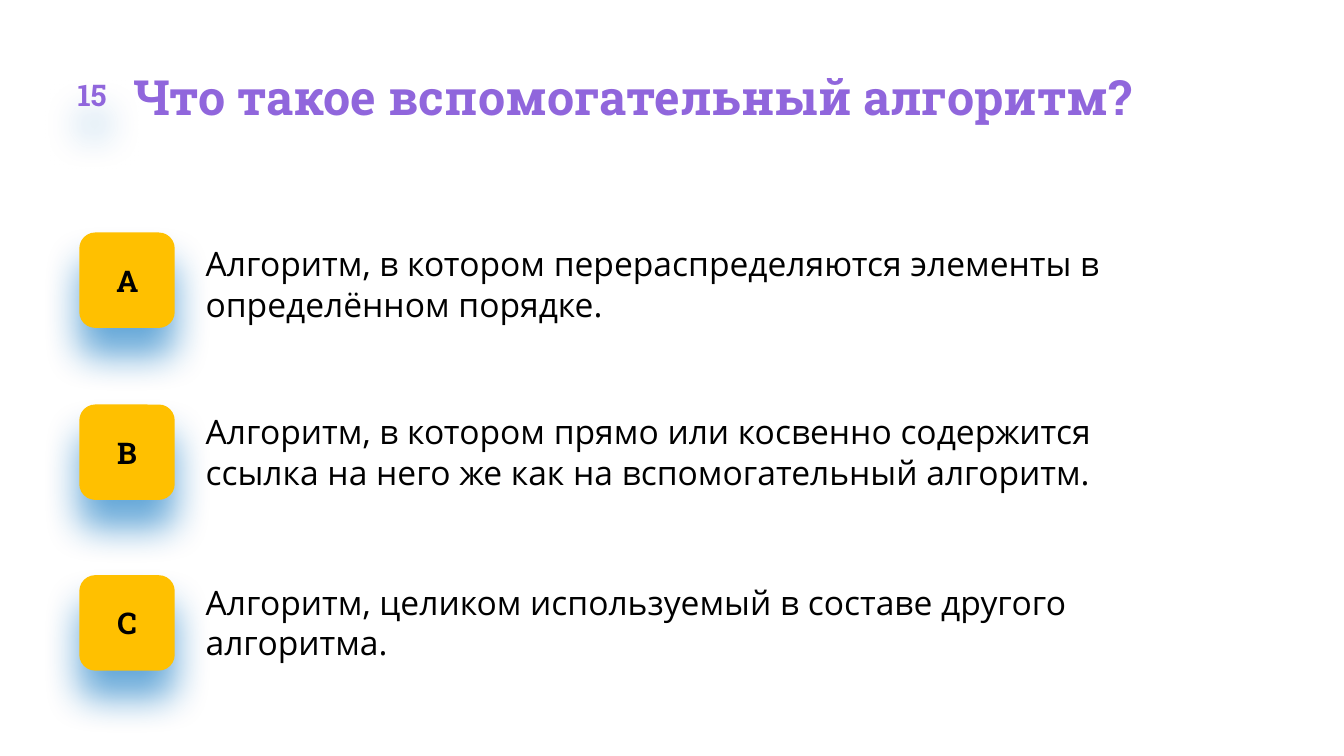
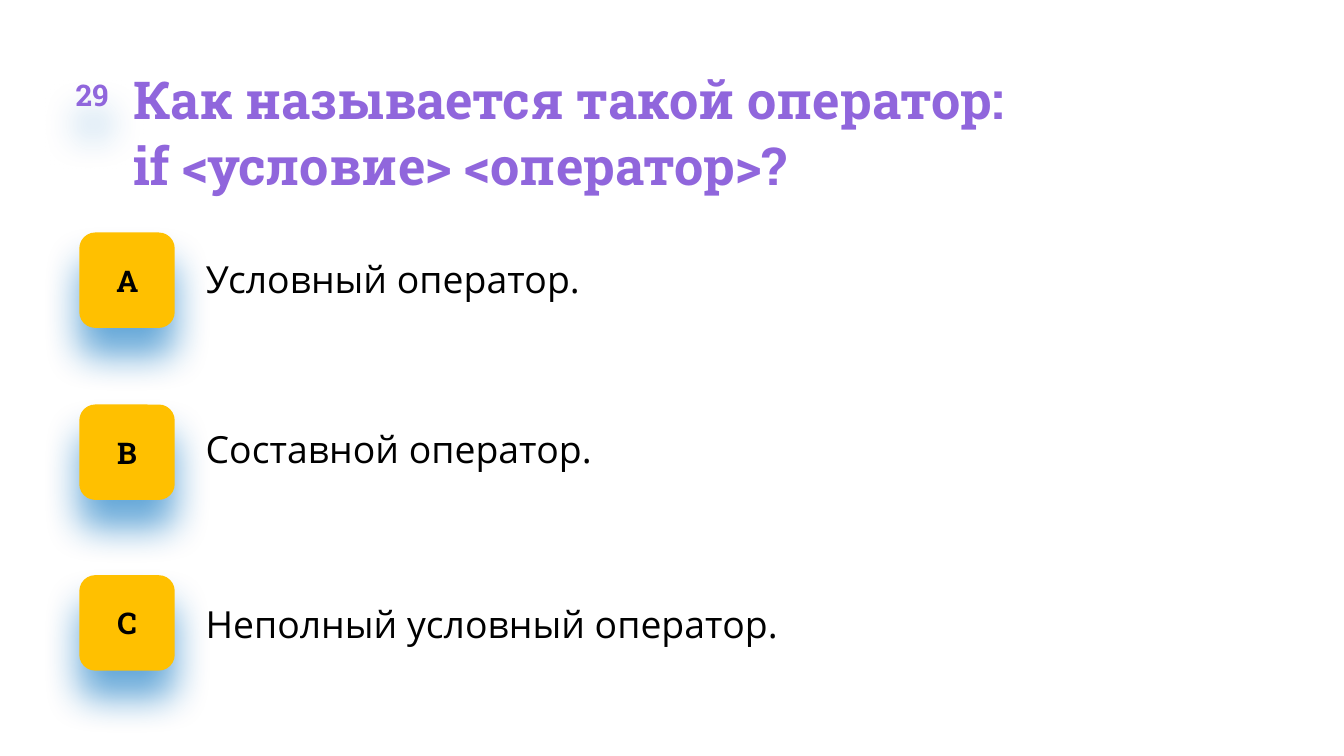
from lxml import etree
from pptx import Presentation
from pptx.dml.color import RGBColor
from pptx.enum.shapes import MSO_SHAPE as SHAPE
from pptx.enum.text import MSO_ANCHOR as ANCHOR, MSO_AUTO_SIZE as AUTO, PP_ALIGN as ALIGN
from pptx.oxml.ns import qn
from pptx.util import Pt

PX = 9144  # EMU, 100 px to the inch
WIDTH = 1000

WHITE = RGBColor(0xFF, 0xFF, 0xFF)
BLACK = RGBColor(0x00, 0x00, 0x00)
PURPLE = RGBColor(0x90, 0x66, 0xDC)
AMBER = RGBColor(0xFF, 0xC0, 0x00)
BLUE = RGBColor(0x00, 0x70, 0xC0)

HEAD_FONT, BODY_FONT = "Roboto Slab", "Open Sans"
BADGE = 71
NUMBER = 59
LETTERS = ("А", "B", "C")

# Each answer: text, top, width
QUESTIONS = [
    dict(number=15, title="Что такое вспомогательный алгоритм?",
         title_box=(99, 47, 887, 44), title_size=26, answer_size=18, answer_height=61,
         answers=[
             ("Алгоритм, в котором перераспределяются элементы в определённом порядке.", 181, 703),
             ("Алгоритм, в котором прямо или косвенно содержится ссылка на него же "
              "как на вспомогательный алгоритм.", 306, 703),
             ("Алгоритм, целиком используемый в составе другого алгоритма.", 433, 703),
         ]),
    dict(number=29, title="Как называется такой оператор:\nif <условие> <оператор>?",
         title_box=(99, 47, 881, 100), title_size=28, answer_size=20, answer_height=34,
         answers=[
             ("Условный оператор.", 191, 830),
             ("Составной оператор.", 317, 802),
             ("Неполный условный оператор.", 447, 830),
         ]),
]


def emu(box):
    return [v * PX for v in box]


def write(sp, text, size, font=HEAD_FONT, color=BLACK, bold=True, align=ALIGN.LEFT,
          anchor=ANCHOR.TOP, spacing=None, indent=0, grow=False):
    """Fill a shape with text, one paragraph to a line."""
    tf = sp.text_frame
    tf.word_wrap = True
    tf.auto_size = AUTO.SHAPE_TO_FIT_TEXT if grow else AUTO.NONE
    tf.margin_left = indent * PX
    tf.margin_top = tf.margin_right = tf.margin_bottom = 0
    tf.vertical_anchor = anchor
    tf.text = text
    for p in tf.paragraphs:
        p.alignment = align
        p.line_spacing = spacing
        for r in p.runs:
            r.font.name, r.font.size, r.font.bold = font, Pt(size), bold
            r.font.color.rgb = color


def drop_shadow(sp):
    """Soft blue shadow straight below the shape."""
    sp.shadow.inherit = False
    effects = sp._element.spPr.find(qn("a:effectLst"))
    shadow = etree.SubElement(effects, qn("a:outerShdw"), blurRad=str(Pt(20)), dist=str(Pt(15)),
                              dir=str(90 * 60000), algn="t", rotWithShape="0")
    color = etree.SubElement(shadow, qn("a:srgbClr"), val=str(BLUE))
    etree.SubElement(color, qn("a:alpha"), val=str(60 * 1000))


def badge(slide, box, text, color=BLACK, fill=None):
    sp = slide.shapes.add_shape(SHAPE.ROUNDED_RECTANGLE, *emu(box))
    if fill is None:
        sp.fill.background()
    else:
        sp.fill.solid()
        sp.fill.fore_color.rgb = fill
    sp.line.fill.background()
    drop_shadow(sp)
    write(sp, text, 16, color=color, align=ALIGN.CENTER, anchor=ANCHOR.MIDDLE)


def heading(slide, box, number, title, size):
    left, top, _, _ = box
    write(slide.shapes.add_textbox(*emu(box)), title, size, color=PURPLE, spacing=1.06, grow=True)
    badge(slide, (left - NUMBER - 1, top - 6, NUMBER, NUMBER), str(number), PURPLE)


def answer_list(slide, left, top, answers, size, height):
    for i, (letter, (text, text_top, width)) in enumerate(zip(LETTERS, answers)):
        badge_top = top + (255 * i + 1) // 2
        badge(slide, (left, badge_top, BADGE, BADGE), letter, fill=AMBER)
        box = left + BADGE + 9, text_top, width, height
        write(slide.shapes.add_textbox(*emu(box)), text, size, font=BODY_FONT,
              bold=False, indent=14, grow=True)


def question_slide(prs, q):
    slide = prs.slides.add_slide(prs.slide_layouts[6])
    slide.background.fill.solid()
    slide.background.fill.fore_color.rgb = WHITE
    heading(slide, q["title_box"], q["number"], q["title"], q["title_size"])
    answer_list(slide, 59, 173, q["answers"], q["answer_size"], q["answer_height"])


def main():
    prs = Presentation()
    prs.slide_width = WIDTH * PX
    prs.slide_height = prs.slide_width * 9 // 16
    for q in QUESTIONS:
        question_slide(prs, q)
    prs.save("out.pptx")


if __name__ == "__main__":
    main()
